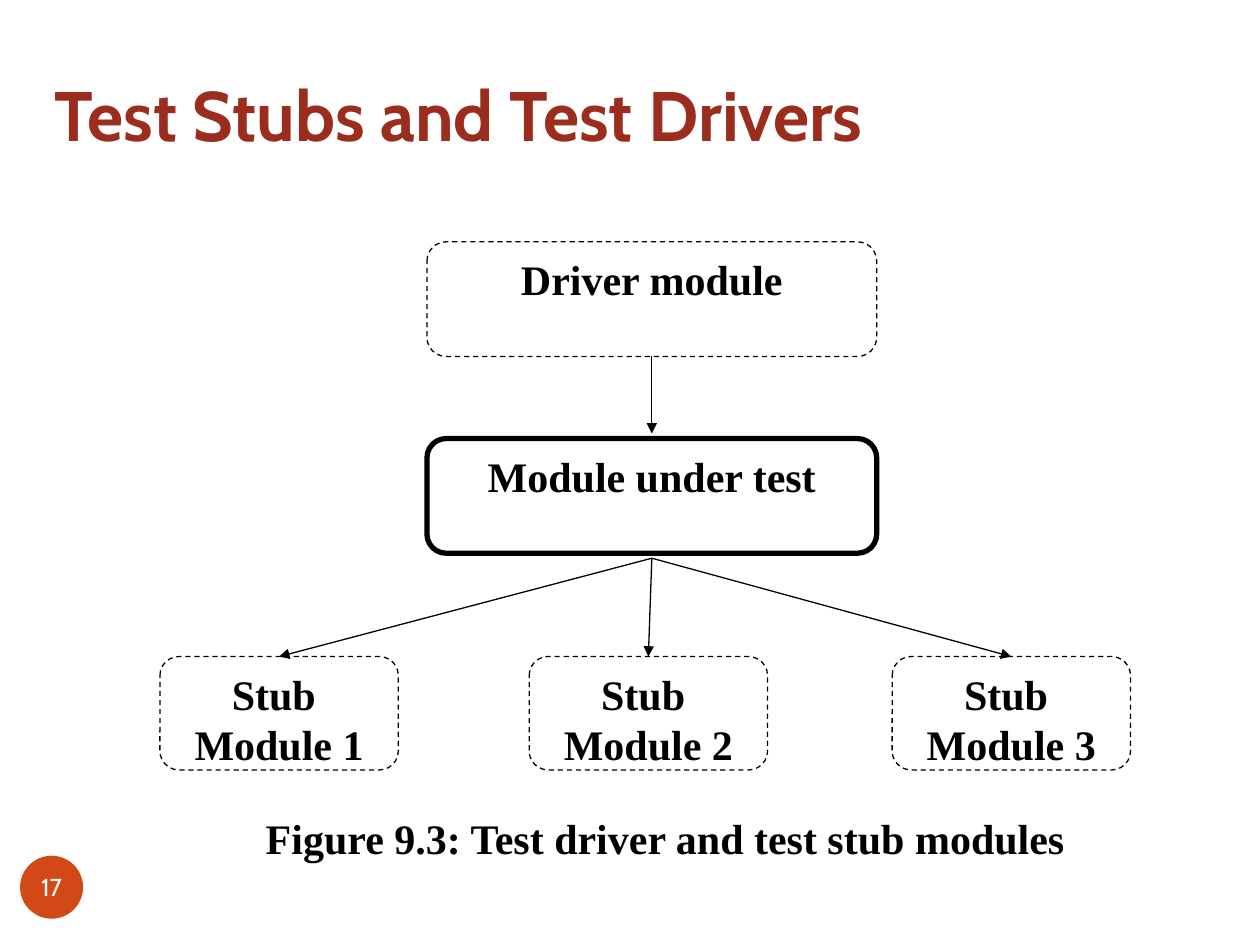
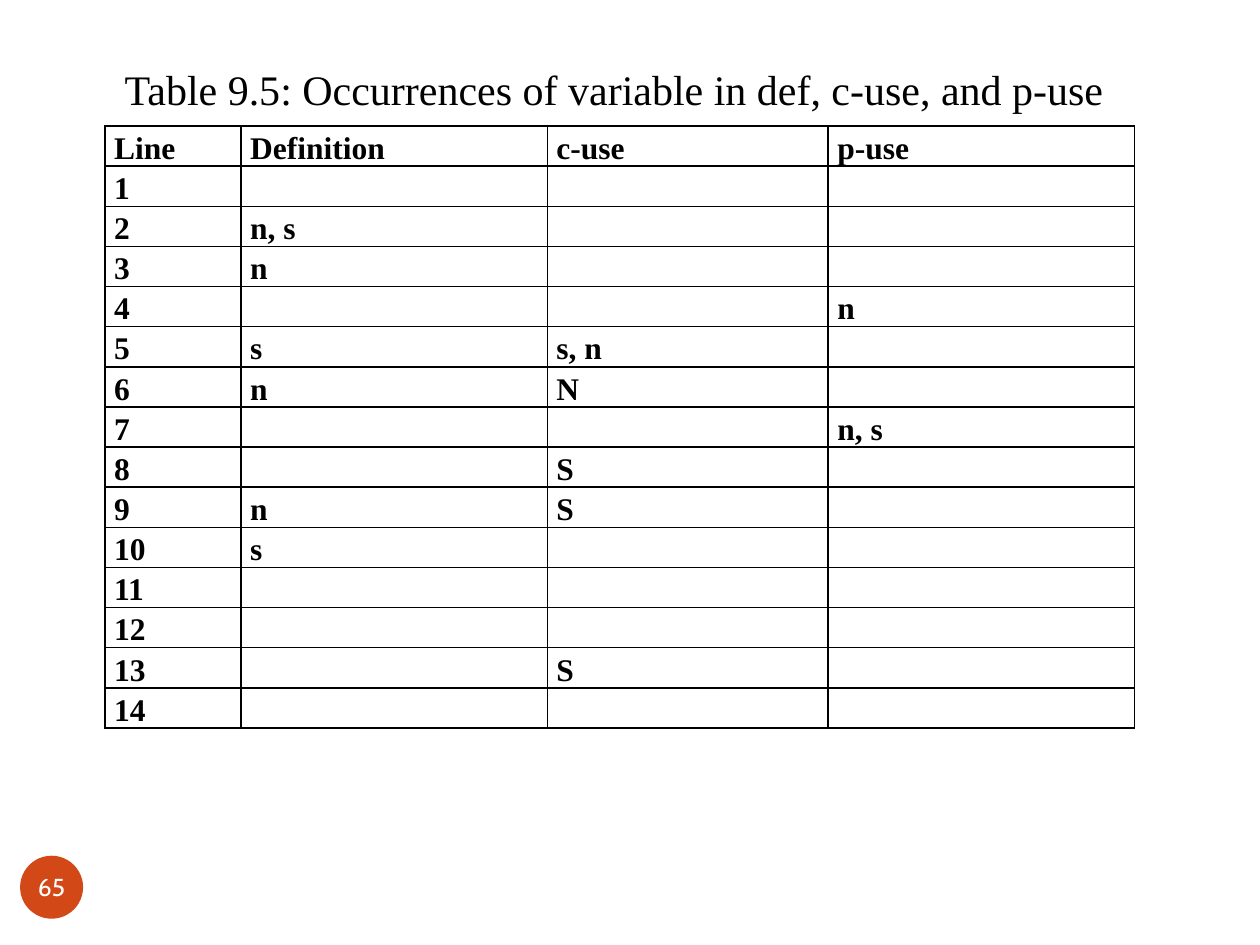
import pptx
import pptx.util
import pptx.dml.color
import pptx.enum.dml
import pptx.enum.shapes
import pptx.enum.text
import pptx.oxml
import pptx.oxml.ns

Pt = pptx.util.Pt
SHAPE = pptx.enum.shapes.MSO_SHAPE
ALIGN = pptx.enum.text.PP_ALIGN
ANCHOR = pptx.enum.text.MSO_ANCHOR

# Shared look
BLACK, WHITE, BRICK, ORANGE = "000000", "FFFFFF", "9B2D1F", "D34817"
SANS, SERIF = "Cabin", "Times New Roman"

# Usage table
WIDTHS = [77.8, 175, 160.5, 175]
HEADS = ["Line", "Definition", "c-use", "p-use"]
USES = {
    2: ("n, s", "", ""),
    3: ("n", "", ""),
    4: ("", "", "n"),
    5: ("s", "s, n", ""),
    6: ("n", "N", ""),
    7: ("", "", "n, s"),
    8: ("", "S", ""),
    9: ("n", "S", ""),
    10: ("s", "", ""),
    13: ("", "S", ""),
}
LINES = 14
ROW = 22.9


def paint(target, color):
    """Give a fill, line or font a solid colour."""
    if hasattr(target, "solid"):
        target.solid()
        target = target.fore_color
    else:
        target = target.color
    target.rgb = pptx.dml.color.RGBColor.from_string(color)


def write(frame, text, size, font=SERIF, color=BLACK, bold=True,
          align=ALIGN.CENTER, inset=(0, 0, 0, 0), anchor=ANCHOR.TOP):
    """Fill a text frame, one paragraph for each line."""
    frame.word_wrap = True
    frame.vertical_anchor = anchor
    (frame.margin_left, frame.margin_top,
     frame.margin_right, frame.margin_bottom) = map(Pt, inset)
    frame.text = text
    for para in frame.paragraphs:
        para.alignment = align
        para.font.size = Pt(size)
        para.font.name = font
        para.font.bold = bold
        paint(para.font, color)


def add_box(slide, kind, place, fill, edge=None, width=0.75, dash=False):
    """Draw a flat filled shape."""
    box = slide.shapes.add_shape(kind, *map(Pt, place))
    box.shadow.inherit = False
    paint(box.fill, fill)
    if edge:
        paint(box.line, edge)
        box.line.width = Pt(width)
    else:
        box.line.fill.background()
    if dash:
        box.line.dash_style = pptx.enum.dml.MSO_LINE.DASH
    return box


def add_node(slide, text, place, side=7.2, width=0.75, dash=True):
    """Draw a module with rounded corners."""
    node = add_box(slide, SHAPE.ROUNDED_RECTANGLE, place, WHITE, BLACK,
                   width, dash)
    node.adjustments[0] = 0.167
    write(node.text_frame, text, 24, inset=(side, 3.6, side, 0.7))
    return node


def add_arrow(slide, start, end, source=None, target=None):
    """Draw an arrow, joined to modules where it touches them."""
    line = slide.shapes.add_connector(
        pptx.enum.shapes.MSO_CONNECTOR.STRAIGHT, *map(Pt, start + end))
    if source:
        line.begin_connect(source, 2)
    if target:
        line.end_connect(target, 0)
    paint(line.line, BLACK)
    line.line.width = Pt(0.75)
    edge = line.line._get_or_add_ln()
    add_xml(edge, "a:tailEnd", type="triangle")
    add_xml(line._element.spPr, "a:effectLst")


def add_xml(parent, tag, **attrs):
    child = pptx.oxml.parse_xml(
        f"<{tag} {pptx.oxml.ns.nsdecls('a')}/>")
    for name, value in attrs.items():
        child.set(name, value)
    parent.append(child)
    return child


def add_label(slide, text, place, bold=True):
    """Write a caption on a white strip."""
    label = add_box(slide, SHAPE.RECTANGLE, place, WHITE, WHITE)
    write(label.text_frame, text, 24, bold=bold)


def add_title(slide, text):
    box = slide.shapes.add_textbox(*map(Pt, (23.8, 5.8, 612, 90)))
    write(box.text_frame, text, 40, SANS, BRICK, align=ALIGN.LEFT,
          inset=(7.2, 3.6, 7.2, 7.2), anchor=ANCHOR.BOTTOM)


def add_badge(slide, number):
    """Put the page number in its disc."""
    disc = add_box(slide, SHAPE.OVAL, (11.5, 489, 36, 36), ORANGE)
    write(disc.text_frame, str(number), 14, SANS, WHITE, False,
          anchor=ANCHOR.MIDDLE)
    disc.text_frame.word_wrap = False


def add_edges(cell):
    """Rule all four sides of a cell."""
    props = cell._tc.get_or_add_tcPr()
    for side in ("lnL", "lnR", "lnT", "lnB"):
        edge = add_xml(props, f"a:{side}", w=str(Pt(1)))
        add_xml(add_xml(edge, "a:solidFill"), "a:srgbClr", val=BLACK)


def add_grid(slide, rows, left, top):
    """Draw a ruled table."""
    table = slide.shapes.add_table(
        len(rows), len(WIDTHS), Pt(left), Pt(top),
        Pt(sum(WIDTHS)), Pt(ROW * len(rows))).table
    table.first_row = table.horz_banding = False
    for column, width in zip(table.columns, WIDTHS):
        column.width = Pt(width)
    for row, texts in zip(table.rows, rows):
        row.height = Pt(ROW)
        for cell, text in zip(row.cells, texts):
            cell.margin_left = cell.margin_right = Pt(5.2)
            cell.margin_top = cell.margin_bottom = 0
            add_edges(cell)
            cell.fill.background()
            if text:
                fill_cell(cell, text)


def fill_cell(cell, text):
    cell.text = text
    para = cell.text_frame.paragraphs[0]
    para.line_spacing = 1.15
    para.font.size = Pt(18)
    para.font.name = SERIF
    para.font.bold = True
    paint(para.font, BLACK)


def draw_stubs(slide):
    """Driver, module under test and its three stubs."""
    add_title(slide, "Test Stubs and Test Drivers")
    add_badge(slide, 17)
    left, width, high = 244, 257, 65.5
    mid = left + width / 2
    driver = add_node(slide, "Driver module", (left, 138.2, width, high))
    add_node(slide, "Module under test", (left, 250.6, width, high),
             width=3, dash=False)
    add_arrow(slide, (mid, 203.7), (mid, 247.7), source=driver)
    for number, x in enumerate((91.4, 302.4, 509.8), 1):
        stub = add_node(slide, f"Stub \nModule {number}",
                        (x, 375.2, 136.2, 64.8), side=1.4)
        add_arrow(slide, (mid, 319), (x + 68.1, 375.2), target=stub)
    add_label(slide, "Figure 9.3: Test driver and test stub modules",
              (149, 464.4, 462.2, 32.4))


def draw_uses(slide):
    """Where each variable is defined and used."""
    add_badge(slide, 65)
    rows = [HEADS] + [(str(line), *USES.get(line, ("", "", "")))
                      for line in range(1, LINES + 1)]
    add_grid(slide, rows, 60, 72)
    add_label(slide,
              "Table 9.5: Occurrences of variable in def, c-use, and p-use",
              (48, 36, 606, 24), bold=False)


def main():
    deck = pptx.Presentation()
    deck.slide_width, deck.slide_height = Pt(720), Pt(540)
    for draw in (draw_stubs, draw_uses):
        draw(deck.slides.add_slide(deck.slide_layouts[6]))
    deck.save("out.pptx")


if __name__ == "__main__":
    main()
